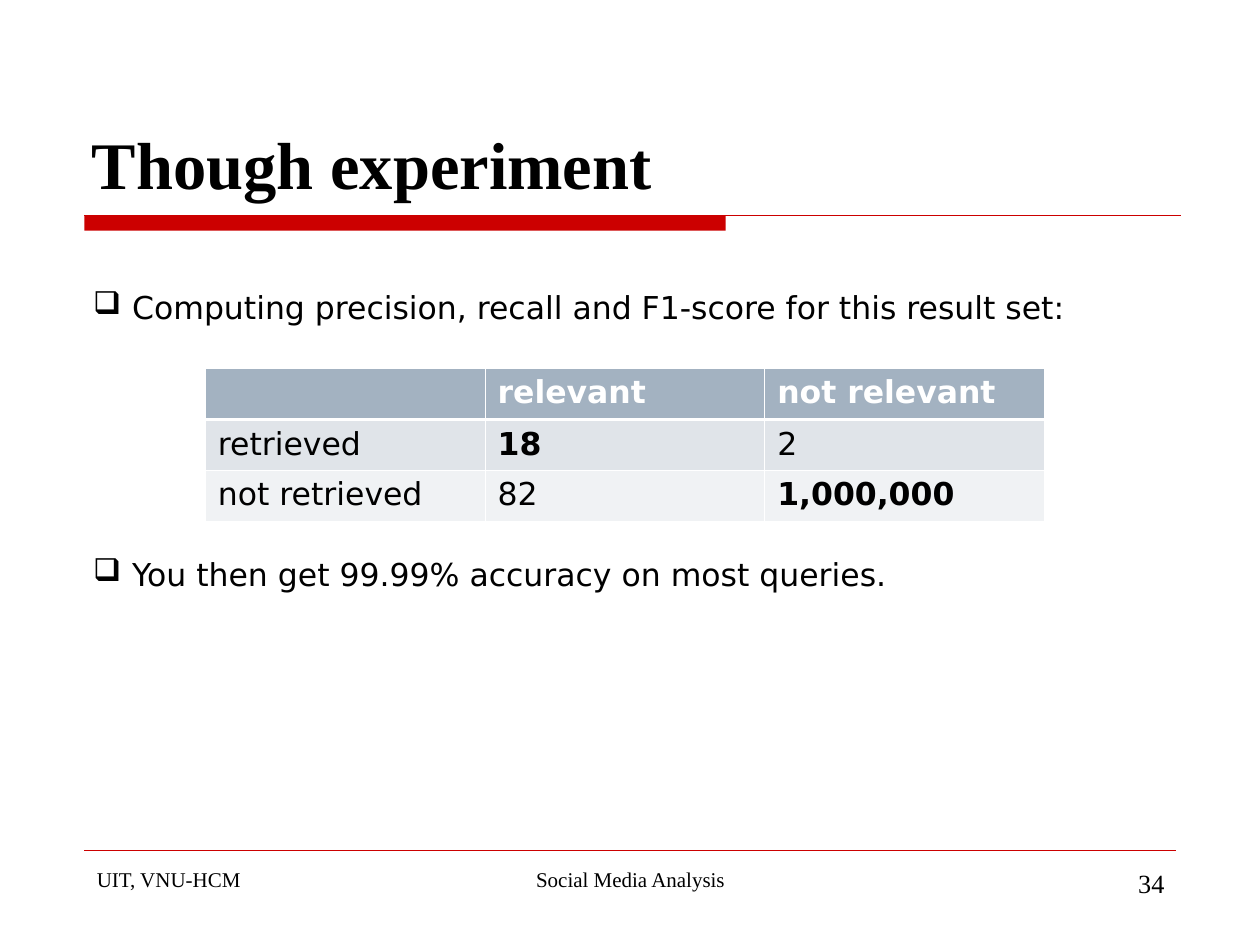
from lxml.etree import SubElement
from pptx import Presentation
from pptx.dml.color import RGBColor
from pptx.enum.shapes import MSO_CONNECTOR as Connector, MSO_SHAPE as Shape
from pptx.enum.text import MSO_ANCHOR as Anchor, PP_ALIGN as Align
from pptx.oxml.ns import qn
from pptx.util import Inches, Pt

BLACK = RGBColor(0x00, 0x00, 0x00)
WHITE = RGBColor(0xFF, 0xFF, 0xFF)
RED = RGBColor(0xCC, 0x00, 0x00)
HEADER_FILL = RGBColor(0xA3, 0xB2, 0xC1)
ROW_FILLS = [HEADER_FILL, RGBColor(0xE0, 0xE4, 0xE9), RGBColor(0xF0, 0xF2, 0xF4)]
SERIF = "Times New Roman"
SANS = "DejaVu Sans"

TITLE = "Though experiment"
BULLETS = [
    ("Computing precision, recall and F1-score for this result set:", 1.5, None),
    ("You then get 99.99% accuracy on most queries.", 1, 131),
]
CONFUSION = [
    ["", "relevant", "not relevant"],
    ["retrieved", "18", "2"],
    ["not retrieved", "82", "1,000,000"],
]
ROW_HEIGHTS = [0.41, 0.4, 0.41]
COLUMN_WIDTH = 2.22
FOOTERS = [
    ("UIT, VNU-HCM", 0.67, 2.17, 12, Align.LEFT),
    ("Social Media Analysis", 3.42, 3.17, 12, Align.CENTER),
    ("34", 7.17, 2.17, 15, Align.RIGHT),
]


def add_bullet(paragraph):
    properties = paragraph._p.get_or_add_pPr()
    properties.set("marL", str(Inches(0.31)))
    properties.set("indent", str(Inches(-0.31)))
    color = SubElement(properties, qn("a:buClr"))
    SubElement(color, qn("a:srgbClr"), val=str(BLACK))
    SubElement(properties, qn("a:buChar"), char="❑")


def write_text(paragraph, text, size=18, font=SANS, color=BLACK, bold=False,
               align=Align.LEFT, bullet=False, spacing=1, before=None):
    if bullet:
        add_bullet(paragraph)
    paragraph.alignment = align
    paragraph.line_spacing = spacing
    if before:
        paragraph.space_before = Pt(before)
    run = paragraph.add_run()
    run.text = text
    run.font.size = Pt(size)
    run.font.name = font
    run.font.bold = bold
    run.font.color.rgb = color


def add_frame(slide, left, top, width, height, anchor=Anchor.TOP):
    box = slide.shapes.add_textbox(Inches(left), Inches(top), Inches(width), Inches(height))
    frame = box.text_frame
    frame.word_wrap = True
    frame.vertical_anchor = anchor
    return frame


def add_rule(slide, left, right, y, width):
    rule = slide.shapes.add_connector(
        Connector.STRAIGHT, Inches(left), Inches(y), Inches(right), Inches(y))
    rule.line.color.rgb = RED
    rule.line.width = Pt(width)
    SubElement(rule._element.spPr, qn("a:effectLst"))


def add_borders(cell, widths):
    properties = cell._tc.get_or_add_tcPr()
    for side, width in widths.items():
        border = SubElement(properties, qn(f"a:ln{side}"), w=str(Pt(width)))
        fill = SubElement(border, qn("a:solidFill"))
        SubElement(fill, qn("a:srgbClr"), val=str(WHITE))


def add_confusion_table(slide):
    columns = len(CONFUSION[0])
    table = slide.shapes.add_table(
        len(CONFUSION), columns, Inches(1.63), Inches(2.92),
        Inches(COLUMN_WIDTH * columns), Inches(sum(ROW_HEIGHTS))).table
    for column in table.columns:
        column.width = Inches(COLUMN_WIDTH)
    for row, values in enumerate(CONFUSION):
        table.rows[row].height = Inches(ROW_HEIGHTS[row])
        header = row == 0
        top = 1.47 if row == 1 else 0.45
        bottom = 1.47 if header else 0.45
        for column, value in enumerate(values):
            cell = table.cell(row, column)
            add_borders(cell, {"L": 0.45, "R": 0.45, "T": top, "B": bottom})
            cell.fill.solid()
            cell.fill.fore_color.rgb = ROW_FILLS[row]
            if value:
                write_text(cell.text_frame.paragraphs[0], value,
                           color=WHITE if header else BLACK,
                           bold=header or row == column)


def main():
    presentation = Presentation()
    presentation.slide_width = Inches(10)
    presentation.slide_height = Inches(7.5)
    slide = presentation.slides.add_slide(presentation.slide_layouts[6])

    bar = slide.shapes.add_shape(
        Shape.RECTANGLE, Inches(0.67), Inches(1.71), Inches(5.09), Inches(0.12))
    bar.shadow.inherit = False
    bar.fill.solid()
    bar.fill.fore_color.rgb = RED
    bar.line.fill.background()
    add_rule(slide, 0.67, 9.37, 1.71, 0.75)
    add_rule(slide, 0.67, 9.33, 6.75, 0.25)

    title = add_frame(slide, 0.63, 0.33, 8.75, 1.33, anchor=Anchor.BOTTOM)
    write_text(title.paragraphs[0], TITLE, size=38, font=SERIF, bold=True)

    for text, left, width, size, align in FOOTERS:
        footer = add_frame(slide, left, 6.83, width, 0.52)
        write_text(footer.paragraphs[0], text, size=size, font=SERIF, align=align)

    body = add_frame(slide, 0.64, 2.09, 9.08, 2.65)
    for index, (text, spacing, before) in enumerate(BULLETS):
        paragraph = body.add_paragraph() if index else body.paragraphs[0]
        write_text(paragraph, text, bullet=True, spacing=spacing, before=before)

    add_confusion_table(slide)
    presentation.save("out.pptx")


if __name__ == "__main__":
    main()
